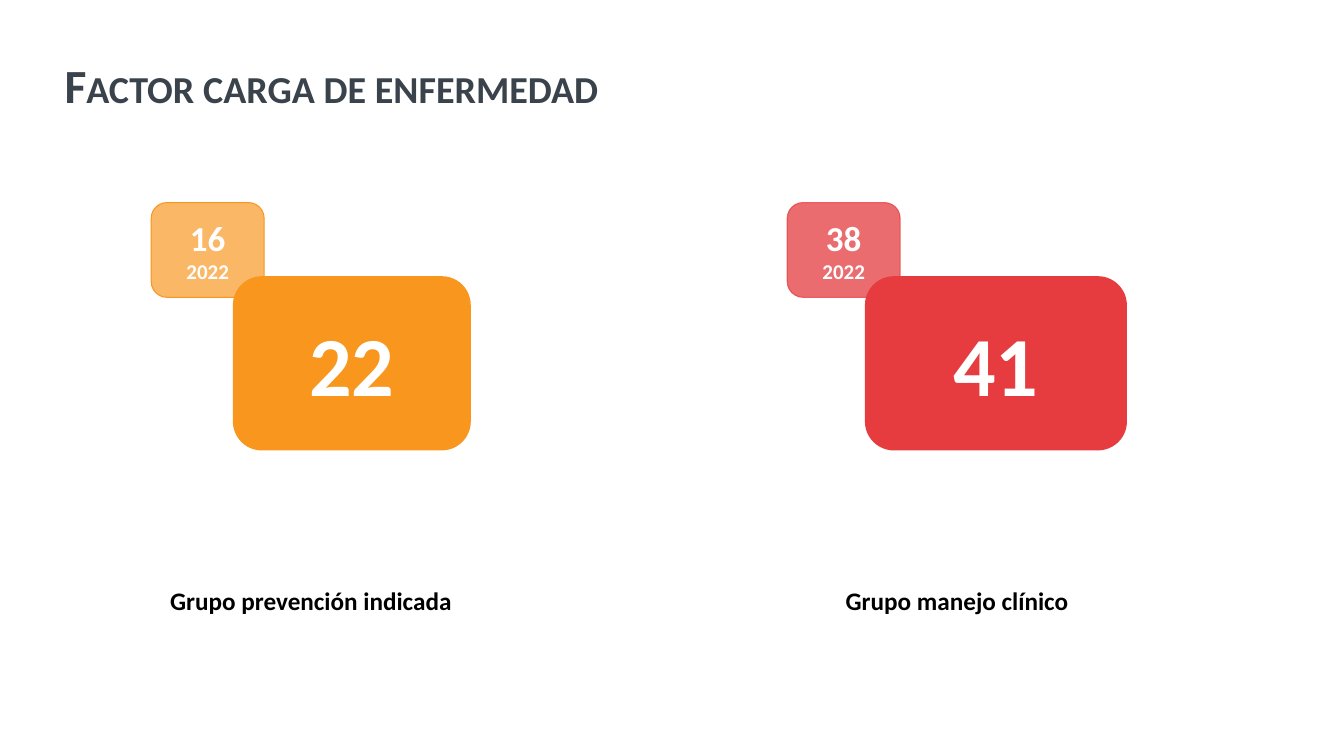
"""Build the disease burden factor slide, comparing two groups with 2022."""
from lxml import etree
from pptx import Presentation
from pptx.dml.color import RGBColor
from pptx.enum.shapes import MSO_SHAPE
from pptx.enum.text import MSO_ANCHOR, PP_ALIGN
from pptx.oxml.ns import qn
from pptx.util import Pt

ROUNDED = MSO_SHAPE.ROUNDED_RECTANGLE
MIDDLE = MSO_ANCHOR.MIDDLE
LEFT, CENTER = PP_ALIGN.LEFT, PP_ALIGN.CENTER

TITLE = "Factor carga de enfermedad"
GROUPS = [
    {"caption": "Grupo prevención indicada", "previous": ["16", "2022"], "current": "22",
     "left": 108, "current_left": 166.3, "current_width": 170,
     "previous_fill": "orange_light", "line": "orange", "line_alpha": 100, "fill": "orange"},
    {"caption": "Grupo manejo clínico", "previous": ["38", "2022"], "current": "41",
     "left": 562.3, "current_left": 617.8, "current_width": 187.2,
     "previous_fill": "red_light", "line": "red_light", "line_alpha": 75, "fill": "red"},
]
COLORS = {"title": "3A434C", "caption": "000000", "white": "FFFFFF",
          "orange": "F8961E", "orange_light": "F99F33",
          "red": "E63C3F", "red_light": "E53C3E"}
FONT = "Calibri"
PREVIOUS_TOP, PREVIOUS_WIDTH, PREVIOUS_HEIGHT = 144.7, 80.7, 67.7
CURRENT_TOP, CURRENT_HEIGHT = 197.3, 124.5
CAPTION_TOP, CAPTION_HEIGHT = 414.7, 29


def color(name):
    return RGBColor.from_string(COLORS[name])


def write(text_frame, lines, sizes, color_name, alignment=CENTER):
    text_frame.word_wrap = True
    text_frame.text = "\n".join(lines)
    for paragraph, size in zip(text_frame.paragraphs, sizes):
        paragraph.alignment = alignment
        font = paragraph.runs[0].font
        font.name, font.size, font.bold = FONT, Pt(size), True
        font.color.rgb = color(color_name)


def set_alpha(fill_parent, percent):
    solid_color = fill_parent.find(qn("a:solidFill"))[0]
    etree.SubElement(solid_color, qn("a:alpha")).set("val", str(percent * 1000))


def add_card(slide, box, fill_name, lines, sizes):
    card = slide.shapes.add_shape(ROUNDED, *map(Pt, box))
    card.shadow.inherit = False
    card.fill.solid()
    card.fill.fore_color.rgb = color(fill_name)
    card.line.fill.background()
    card.text_frame.vertical_anchor = MIDDLE
    write(card.text_frame, lines, sizes, "white")
    return card


def add_title(slide):
    title = slide.shapes.title
    title.left, title.top, title.width, title.height = map(Pt, (38.9, 28.8, 916.6, 67.7))
    title.text_frame.vertical_anchor = MIDDLE
    write(title.text_frame, [TITLE], [34], "title", LEFT)
    paragraph = title.text_frame.paragraphs[0]
    paragraph.line_spacing = 0.9
    paragraph.runs[0].font._element.set("cap", "small")


def add_group(slide, group):
    left = group["left"]
    previous = add_card(slide, (left, PREVIOUS_TOP, PREVIOUS_WIDTH, PREVIOUS_HEIGHT),
                        group["previous_fill"], group["previous"], [25, 15])
    previous.line.color.rgb = color(group["line"])
    previous.line.width = Pt(0.75)
    properties = previous._element.spPr
    set_alpha(properties, 75)
    set_alpha(properties.find(qn("a:ln")), group["line_alpha"])

    add_card(slide, (group["current_left"], CURRENT_TOP, group["current_width"], CURRENT_HEIGHT),
             group["fill"], [group["current"]], [60])

    caption_width = group["current_left"] + group["current_width"] - left
    caption = slide.shapes.add_textbox(
        *map(Pt, (left, CAPTION_TOP, caption_width, CAPTION_HEIGHT)))
    write(caption.text_frame, [group["caption"]], [18], "caption")


def main():
    presentation = Presentation()
    presentation.slide_width, presentation.slide_height = Pt(960), Pt(540)
    slide = presentation.slides.add_slide(presentation.slide_layouts[5])
    add_title(slide)
    for group in GROUPS:
        add_group(slide, group)
    presentation.save("out.pptx")


if __name__ == "__main__":
    main()
